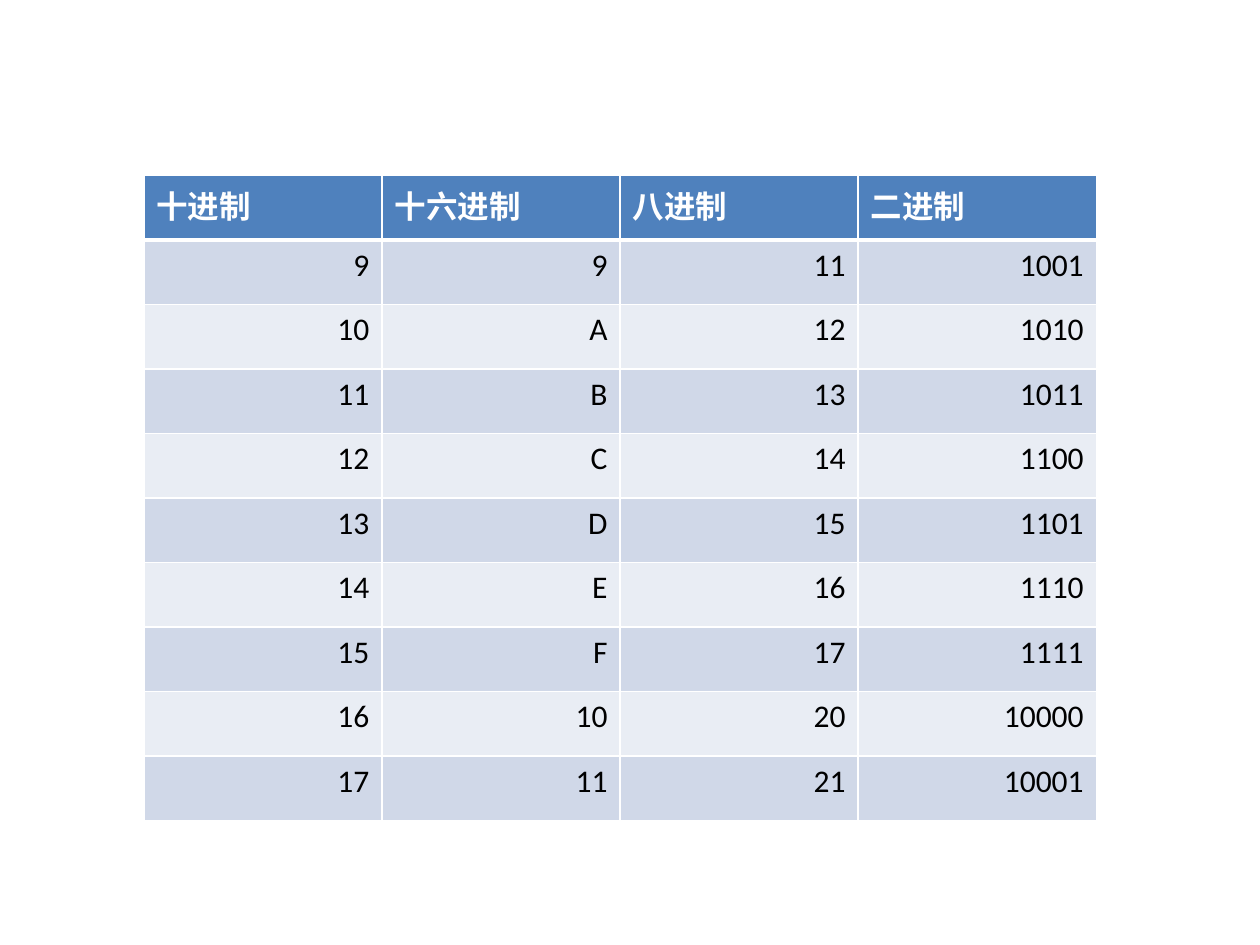
from dataclasses import dataclass

from lxml.etree import SubElement as Sub
from pptx import Presentation
from pptx.dml.color import RGBColor as Rgb
from pptx.enum.text import PP_ALIGN as Align
from pptx.oxml.ns import qn
from pptx.util import Cm, Pt


@dataclass(frozen=True)
class Theme:
    font: str = "Calibri"
    size: int = 18
    header_fill: str = "4F81BD"
    header_text: str = "FFFFFF"
    body_text: str = "000000"
    bands: tuple = ("D0D8E8", "E9EDF4")
    border: str = "FFFFFF"
    thin: int = 1
    thick: int = 3


def write_text(frame, text, *, font, size, color, bold=False, align=Align.LEFT):
    paragraph = frame.paragraphs[0]
    paragraph.alignment = align
    run = paragraph.add_run()
    run.text = text
    run.font.name = font
    run.font.size = Pt(size)
    run.font.bold = bold
    run.font.color.rgb = Rgb.from_string(color)


class SlideBuilder:
    def __init__(self, slide, theme):
        self.slide = slide
        self.theme = theme

    def borders(self, cell, **widths):
        properties = cell._tc.get_or_add_tcPr()
        for side in "LRTB":
            width = widths.get(side, self.theme.thin)
            line = Sub(properties, qn(f"a:ln{side}"), w=str(Pt(width)))
            fill = Sub(line, qn("a:solidFill"))
            Sub(fill, qn("a:srgbClr"), val=self.theme.border)

    def cell(self, cell, text, fill, *, widths, **text_format):
        self.borders(cell, **widths)
        cell.fill.solid()
        cell.fill.fore_color.rgb = Rgb.from_string(fill)
        write_text(cell.text_frame, text, font=self.theme.font,
                   size=self.theme.size, **text_format)

    def table(self, headings, records, left, top, column_width, row_height):
        theme = self.theme
        row_count, column_count = len(records) + 1, len(headings)
        grid = self.slide.shapes.add_table(
            row_count, column_count, left, top,
            column_width * column_count, row_height * row_count).table
        for column, heading in enumerate(headings):
            self.cell(grid.cell(0, column), heading, theme.header_fill,
                      widths={"B": theme.thick}, color=theme.header_text, bold=True)
        for row, record in enumerate(records, start=1):
            widths = {"T": theme.thick} if row == 1 else {}
            band = theme.bands[(row - 1) % len(theme.bands)]
            for column, value in enumerate(record):
                self.cell(grid.cell(row, column), value, band, widths=widths,
                          color=theme.body_text, align=Align.RIGHT)


def main():
    deck = Presentation()
    deck.slide_width, deck.slide_height = Cm(25.4), Cm(19.05)
    builder = SlideBuilder(deck.slides.add_slide(deck.slide_layouts[6]), Theme())
    headings = ["十进制", "十六进制", "八进制", "二进制"]
    conversions = [[format(number, base) for base in "dXob"]
                   for number in range(9, 18)]
    builder.table(headings, conversions, left=Cm(2.9), top=Cm(3.54),
                  column_width=Cm(4.8), row_height=Cm(1.3))
    deck.save("out.pptx")


if __name__ == "__main__":
    main()
